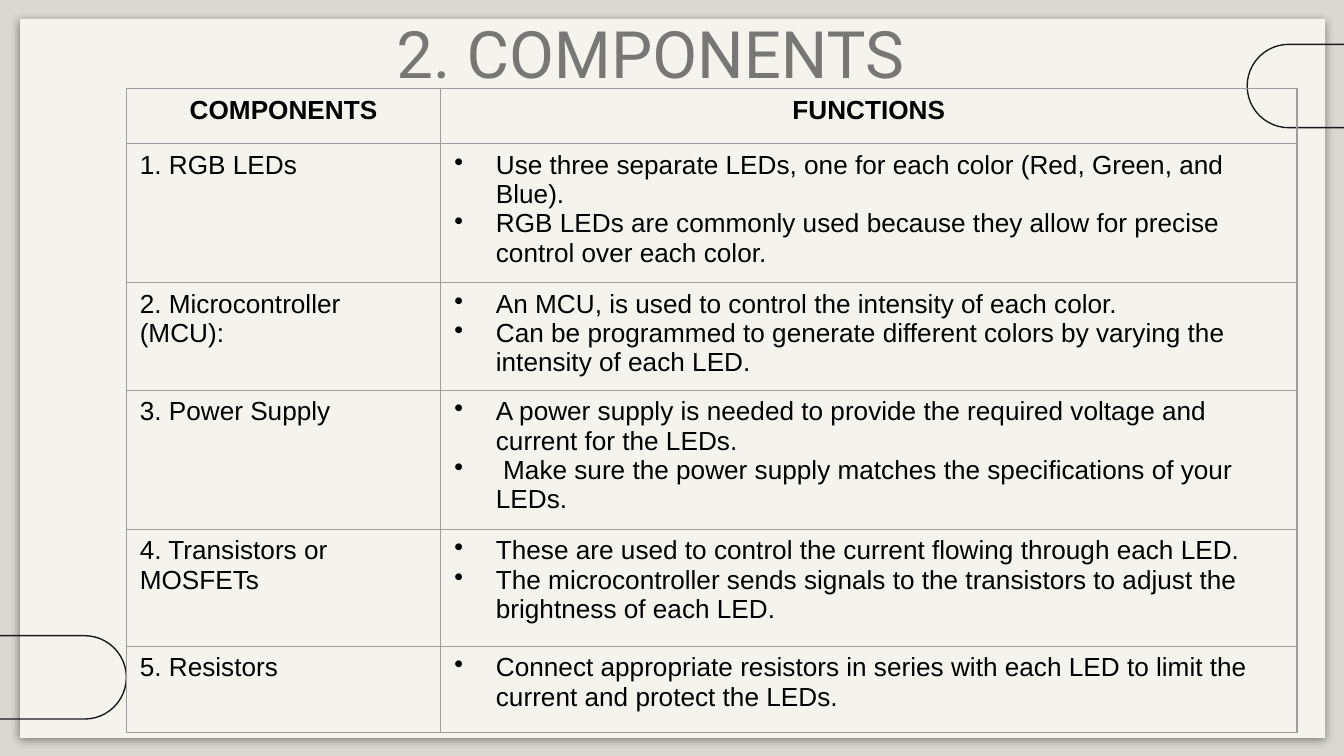
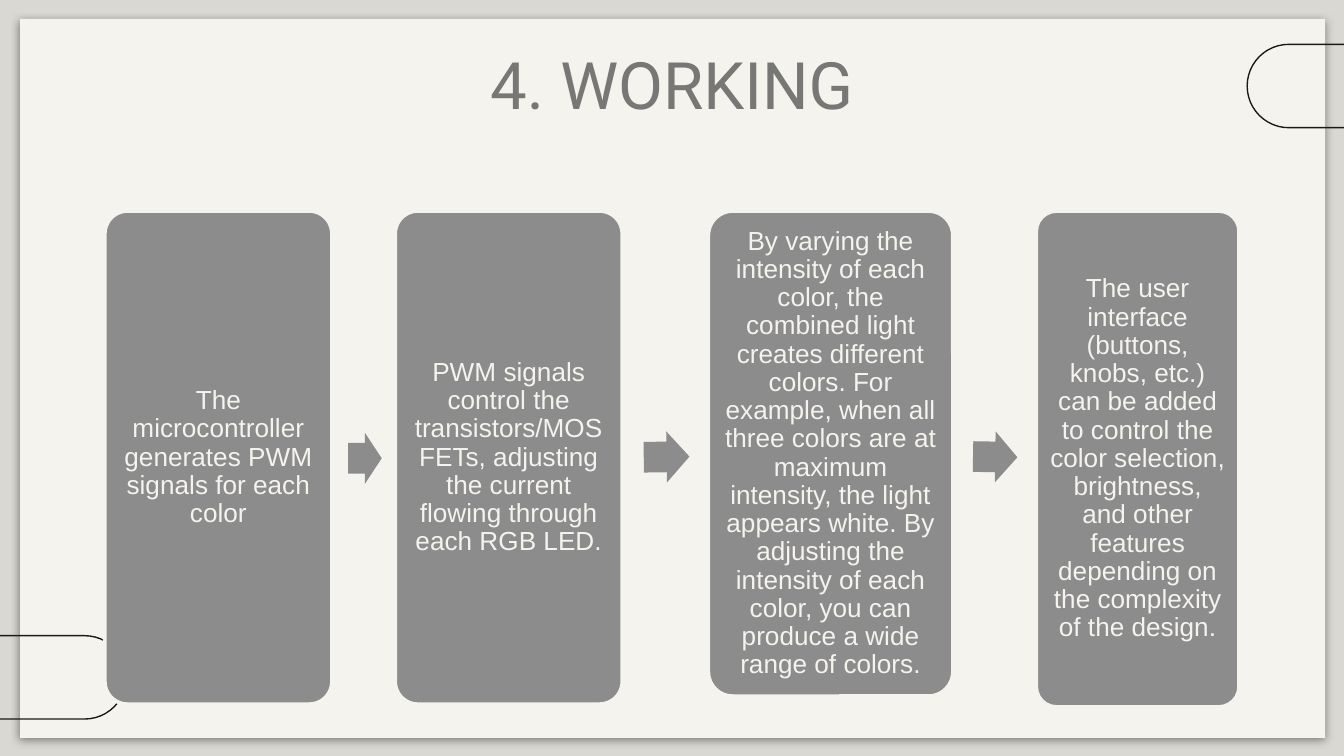
from lxml.etree import SubElement
from pptx import Presentation
from pptx.dml.color import RGBColor
from pptx.enum.shapes import MSO_SHAPE as Shape
from pptx.enum.text import MSO_ANCHOR as Anchor, PP_ALIGN as Align
from pptx.oxml.ns import qn
from pptx.util import Inches, Pt

COLORS = {
    "backdrop": "D9D8D2",
    "paper": "F5F3EE",
    "ink": "191919",
    "title": "777775",
    "text": "000000",
    "grid": "9E9E9E",
    "card": "8C8C8C",
}
WIDTH, HEIGHT = Inches(10), Inches(5.625)
UNIT = WIDTH / 100  # the grid has 100 columns; its rows are equally tall

TABLE_COLUMNS = [23.4, 63.7]
TABLE_ROWS = [4.1, 10.2, 7.9, 10.2, 8.7, 6.4]
HEADINGS = ["COMPONENTS", "FUNCTIONS"]
COMPONENTS = [
    ("1. RGB LEDs", [
        "Use three separate LEDs, one for each color (Red, Green, and Blue).",
        "RGB LEDs are commonly used because they allow for precise control over each color."]),
    ("2. Microcontroller (MCU):", [
        "An MCU, is used to control the intensity of each color.",
        "Can be programmed to generate different colors by varying the intensity of each LED."]),
    ("3. Power Supply", [
        "A power supply is needed to provide the required voltage and current for the LEDs.",
        " Make sure the power supply matches the specifications of your LEDs."]),
    ("4. Transistors or MOSFETs", [
        "These are used to control the current flowing through each LED.",
        "The microcontroller sends signals to the transistors to adjust the brightness of each LED."]),
    ("5. Resistors", [
        "Connect appropriate resistors in series with each LED to limit the current and protect the LEDs."]),
]

CARD_TOP = 15.7
# left, width, height, text
STEPS = [
    (7.8, 16.9, 36.7, "The microcontroller generates PWM signals for each color"),
    (29.4, 16.9, 36.7, "PWM signals control the transistors/MOSFETs, adjusting the current "
                       "flowing through each RGB LED."),
    (52.7, 18.2, 36.1, "By varying the intensity of each color, the combined light creates "
                       "different colors. For example, when all three colors are at maximum "
                       "intensity, the light appears white. By adjusting the intensity of each "
                       "color, you can produce a wide range of colors."),
    (77.1, 15.1, 36.9, "The user interface (buttons, knobs, etc.) can be added to control the "
                       "color selection, brightness, and other features depending on the "
                       "complexity of the design."),
]
# left, top, width, rotation
ARROWS = [(25.9, 32.2, 2.5, 0), (47.9, 32.1, 3.4, -0.8), (72.4, 32.1, 3.3, 1)]


def units(*lengths):
    return [round(length * UNIT) for length in lengths]


def rgb(name):
    return RGBColor.from_string(COLORS[name])


def add_color(parent, name):
    return SubElement(parent, qn("a:srgbClr"), val=COLORS[name])


def add_bullet(para):
    properties = para._p.get_or_add_pPr()
    indent = Inches(0.31)
    properties.set("marL", str(indent))
    properties.set("indent", str(-indent))
    add_color(SubElement(properties, qn("a:buClr")), "text")
    SubElement(properties, qn("a:buChar"), char="•")


def write(frame, *lines, size=14, font="Arial", color="text", bold=False,
          align=Align.LEFT, spacing=None, bullets=False):
    """Fill a text frame with one paragraph for each line."""
    frame.word_wrap = True
    for index, line in enumerate(lines):
        para = frame.add_paragraph() if index else frame.paragraphs[0]
        para.alignment = align
        para.line_spacing = spacing
        if bullets:
            add_bullet(para)
        span = para.add_run()
        span.text = line
        span.font.size = Pt(size)
        span.font.name = font
        span.font.bold = bold
        span.font.color.rgb = rgb(color)


def set_margins(frame, inches):
    frame.margin_left = frame.margin_right = Inches(inches)
    frame.margin_top = frame.margin_bottom = Inches(inches)


def add_figure(page, kind, place, fill=None, line=None, weight=0.75, adjust=()):
    figure = page.shapes.add_shape(kind, *units(*place))
    figure.shadow.inherit = False
    if fill:
        figure.fill.solid()
        figure.fill.fore_color.rgb = rgb(fill)
    else:
        figure.fill.background()
    if line:
        figure.line.color.rgb = rgb(line)
        figure.line.width = Pt(weight)
    else:
        figure.line.fill.background()
    for index, value in enumerate(adjust):
        figure.adjustments[index] = value
    return figure


def add_drop_shadow(figure):
    effects = figure._element.spPr.find(qn("a:effectLst"))
    shadow = SubElement(effects, qn("a:outerShdw"), blurRad=str(Pt(4.5)),
                        dist=str(Pt(1.5)), dir="5400000", algn="bl", rotWithShape="0")
    SubElement(add_color(shadow, "ink"), qn("a:alpha"), val="50000")


def add_page(deck, title, left, top):
    """Add a slide with the paper sheet, the two pills and a title."""
    page = deck.slides.add_slide(deck.slide_layouts[6])
    page.background.fill.solid()
    page.background.fill.fore_color.rgb = rgb("backdrop")
    sheet = add_figure(page, Shape.RECTANGLE, (1.5, 1.4, 97.1, 53.5), fill="paper")
    add_drop_shadow(sheet)
    for pill_left, pill_top in ((92.8, 3.3), (-21, 47.3)):
        add_figure(page, Shape.ROUNDED_RECTANGLE, (pill_left, pill_top, 30.4, 6.2),
                   line="ink", adjust=[0.5])
    box = page.shapes.add_textbox(*units(left, top, 84.4, 9.7))
    set_margins(box.text_frame, 0.1)
    write(box.text_frame, title, size=35, font="Roboto", color="title", align=Align.CENTER)
    return page


def outline_cell(cell):
    properties = cell._tc.get_or_add_tcPr()
    for side in ("lnL", "lnR", "lnT", "lnB"):
        border = SubElement(properties, qn(f"a:{side}"), w=str(Pt(0.75)))
        add_color(SubElement(border, qn("a:solidFill")), "grid")
    cell.fill.background()


def add_component_table(page, left, top):
    place = units(left, top, sum(TABLE_COLUMNS), sum(TABLE_ROWS))
    table = page.shapes.add_table(len(TABLE_ROWS), len(TABLE_COLUMNS), *place).table
    table.first_row = table.horz_banding = False
    for column, width in zip(table.columns, units(*TABLE_COLUMNS)):
        column.width = width
    for row, height in zip(table.rows, units(*TABLE_ROWS)):
        row.height = height
    for cell in table.iter_cells():
        outline_cell(cell)
    for index, heading in enumerate(HEADINGS):
        write(table.cell(0, index).text_frame, heading, bold=True, align=Align.CENTER)
    for index, (component, functions) in enumerate(COMPONENTS, start=1):
        write(table.cell(index, 0).text_frame, component)
        write(table.cell(index, 1).text_frame, *functions, bullets=True)


def add_step(page, left, width, height, text):
    card = add_figure(page, Shape.ROUNDED_RECTANGLE, (left, CARD_TOP, width, height),
                      fill="card", line="paper", weight=2, adjust=[0.1])
    frame = card.text_frame
    set_margins(frame, 0.06)
    frame.vertical_anchor = Anchor.MIDDLE
    write(frame, text, color="paper", align=Align.CENTER, spacing=0.9)


def add_step_arrow(page, left, top, width, rotation):
    arrow = add_figure(page, Shape.RIGHT_ARROW, (left, top, width, 3.8),
                       fill="card", adjust=[0.6, 0.5])
    arrow.rotation = rotation


def main():
    deck = Presentation()
    deck.slide_width, deck.slide_height = WIDTH, HEIGHT

    components = add_page(deck, "2. COMPONENTS", 6.2, 0)
    add_component_table(components, 9.4, 6.6)

    working = add_page(deck, "4. WORKING", 7.8, 2.3)
    for step in STEPS:
        add_step(working, *step)
    for arrow in ARROWS:
        add_step_arrow(working, *arrow)

    deck.save("out.pptx")


if __name__ == "__main__":
    main()
